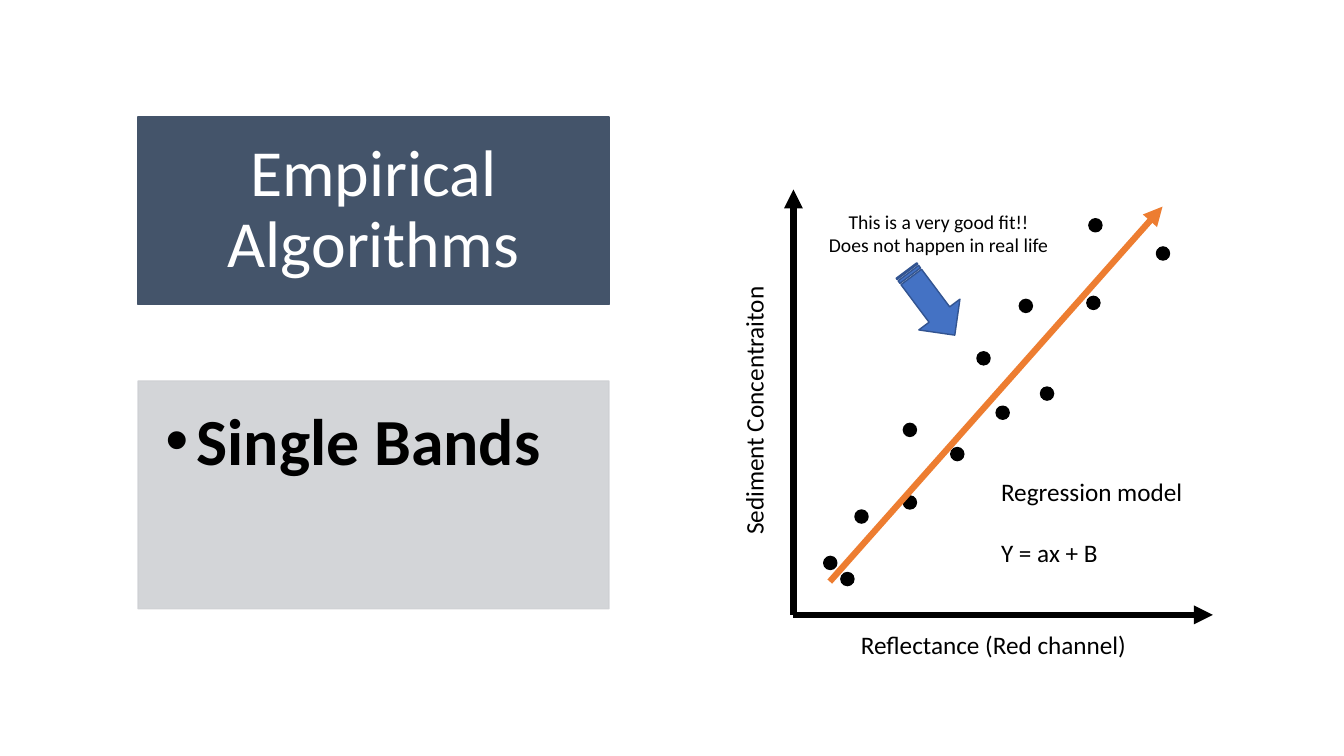
from lxml.etree import SubElement
from pptx import Presentation
from pptx.dml.color import RGBColor
from pptx.enum.shapes import MSO_CONNECTOR, MSO_SHAPE
from pptx.enum.text import MSO_ANCHOR, PP_ALIGN
from pptx.oxml.ns import qn
from pptx.util import Inches, Pt

BLACK, NAVY, GREY = "000000", "44546A", "CFD1D4"
ORANGE, BLUE, DARK_BLUE = "ED7D31", "4472C4", "325491"
DOT_SIZE = 0.13
SAMPLES = [
    (8.17, 5.52), (8.34, 5.68), (8.96, 4.2), (8.48, 5.06), (8.96, 4.92),
    (9.43, 4.44), (9.69, 3.49), (10.32, 3.84), (10.78, 2.94), (9.88, 4.03),
    (10.11, 2.97), (11.47, 2.45), (10.8, 2.17),
]


def rgb(value):
    """Turn a hex string into a colour."""
    return RGBColor.from_string(value)


class SlideBuilder:
    """Hold the style and the current slide, and draw each kind of element."""

    font = "Calibri"

    def __init__(self, slide):
        """Keep the slide to draw on."""
        self.slide = slide

    def arrow(self, start, end, color):
        """Draw a thick straight line with a triangle at its end."""
        line = self.slide.shapes.add_connector(
            MSO_CONNECTOR.STRAIGHT, *map(Inches, start + end))
        line.line.color.rgb = rgb(color)
        line.line.width = Pt(4.5)
        outline = line._element.spPr.find(qn("a:ln"))
        SubElement(outline, qn("a:tailEnd"), type="triangle")
        SubElement(line._element.spPr, qn("a:effectLst"))

    def shape(self, kind, box, fill, outline, rotation=0, opacity=None):
        """Draw a filled preset shape with a thin outline."""
        shape = self.slide.shapes.add_shape(kind, *map(Inches, box))
        shape.shadow.inherit = False
        shape.rotation = rotation
        shape.fill.solid()
        shape.fill.fore_color.rgb = rgb(fill)
        shape.line.color.rgb = rgb(outline)
        shape.line.width = Pt(1)
        if opacity:
            for color in list(shape._element.spPr.iter(qn("a:srgbClr"))):
                SubElement(color, qn("a:alpha"), val=str(opacity * 1000))
        return shape

    def set_text(self, frame, text, size, color=BLACK, align=PP_ALIGN.LEFT,
                 gap=0, bold=False):
        """Fill a text frame and format its runs."""
        frame.text = text
        for index, paragraph in enumerate(frame.paragraphs):
            paragraph.alignment = align
            if index and gap:
                paragraph.space_before = Pt(gap)
            for run in paragraph.runs:
                run.font.name = self.font
                run.font.size = Pt(size)
                run.font.bold = bold
                run.font.color.rgb = rgb(color)

    def label(self, box, text, size=18, rotation=0, **style):
        """Add an unwrapped text box."""
        label = self.slide.shapes.add_textbox(*map(Inches, box))
        label.rotation = rotation
        label.text_frame.word_wrap = False
        self.set_text(label.text_frame, text, size, **style)

    def panel(self, box, fill, text, insets, anchor, opacity=None, bullet=False,
              **style):
        """Draw a filled rectangle that carries large text."""
        panel = self.shape(MSO_SHAPE.RECTANGLE, box, fill, fill, opacity=opacity)
        frame = panel.text_frame
        frame.word_wrap = True
        frame.vertical_anchor = anchor
        (frame.margin_left, frame.margin_top,
         frame.margin_right, frame.margin_bottom) = map(Inches, insets)
        self.set_text(frame, text, 47, **style)
        paragraph = frame.paragraphs[0]
        paragraph.line_spacing = 0.9
        if bullet:
            properties = paragraph._p.get_or_add_pPr()
            properties.set("marL", str(Inches(0.31)))
            properties.set("indent", str(Inches(-0.31)))
            SubElement(properties, qn("a:buFont"), typeface="Arial")
            SubElement(properties, qn("a:buChar"), char="•")


def main():
    """Build the slide and save it."""
    deck = Presentation()
    deck.slide_width, deck.slide_height = Inches(13.33), Inches(7.5)
    builder = SlideBuilder(deck.slides.add_slide(deck.slide_layouts[6]))

    origin = (7.87, 6.1)
    builder.arrow(origin, (12.03, 6.1), BLACK)
    builder.arrow(origin, (7.87, 1.88), BLACK)
    builder.label((8.44, 6.19, 2.87, 0.4), "Reflectance (Red channel)")
    builder.label((6.13, 3.86, 2.69, 0.4), "Sediment Concentraiton", rotation=270)

    for left, top in SAMPLES:
        builder.shape(MSO_SHAPE.OVAL, (left, top, DOT_SIZE, DOT_SIZE), BLACK, BLACK)
    builder.arrow((8.23, 5.77), (11.53, 2.05), ORANGE)
    builder.label((9.83, 4.68, 2.02, 1.01), "Regression model\nY = ax + B", gap=22)

    builder.panel((1.37, 1.16, 4.67, 1.86), NAVY, "Empirical Algorithms",
                  (0.37, 0.21, 0.37, 0.21), MSO_ANCHOR.MIDDLE,
                  color="FFFFFF", align=PP_ALIGN.CENTER)
    builder.panel((1.37, 3.78, 4.67, 2.26), GREY, "Single Bands",
                  (0.27, 0.27, 0.37, 0.41), MSO_ANCHOR.TOP,
                  opacity=90, bullet=True, bold=True)

    builder.label((8.11, 2.03, 2.4, 0.57),
                  "This is a very good fit!!\nDoes not happen in real life",
                  size=14, align=PP_ALIGN.CENTER)
    builder.shape(MSO_SHAPE.STRIPED_RIGHT_ARROW, (8.83, 2.75, 0.8, 0.51),
                  BLUE, DARK_BLUE, rotation=53.2)

    deck.save("out.pptx")


if __name__ == "__main__":
    main()
